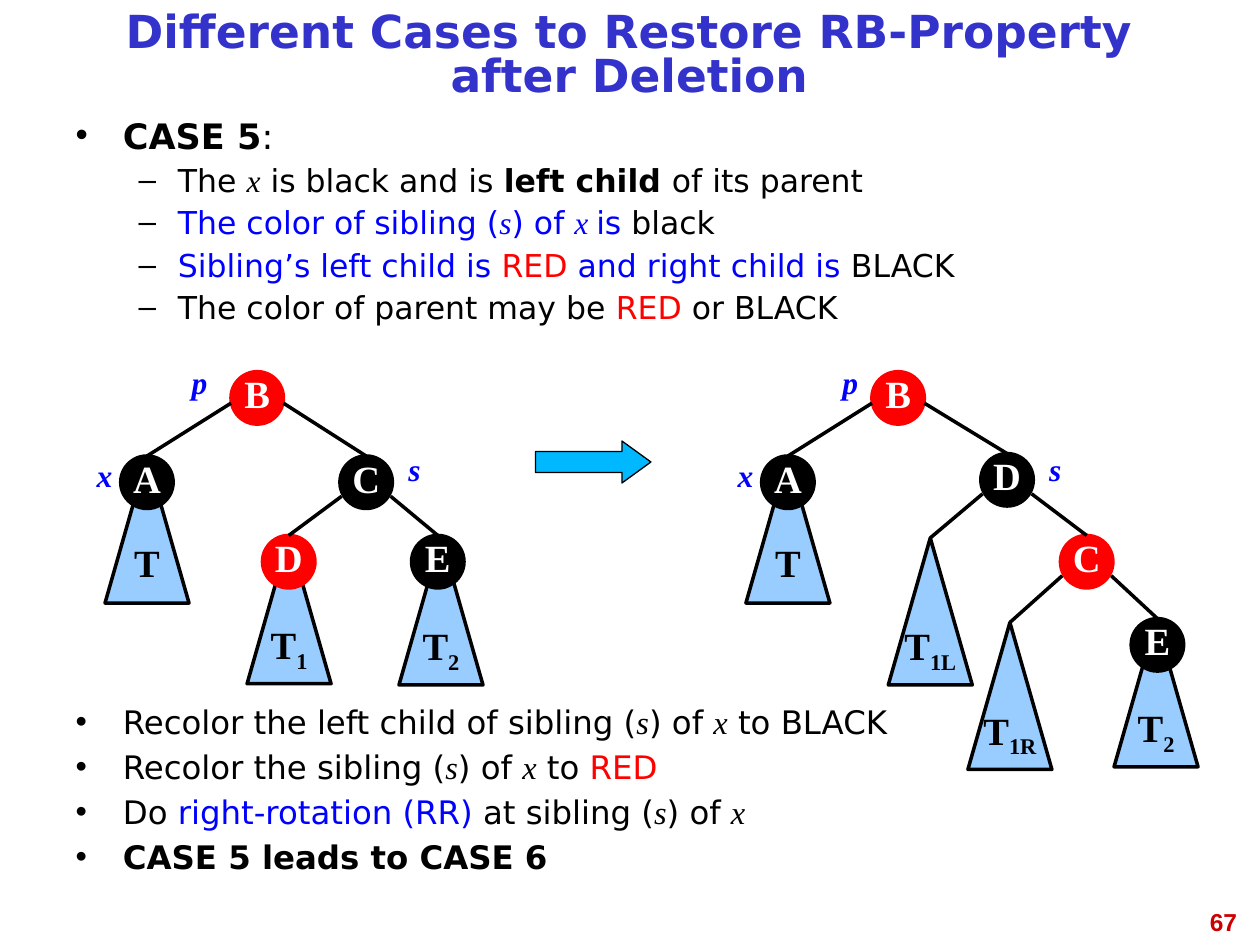
import dataclasses
import lxml.etree
import pptx
import pptx.dml.color
import pptx.enum.shapes
import pptx.enum.text
import pptx.oxml.ns
import pptx.util

Pt = pptx.util.Pt
SHAPE = pptx.enum.shapes.MSO_SHAPE
ALIGN = pptx.enum.text.PP_ALIGN
ANCHOR = pptx.enum.text.MSO_ANCHOR
qn = pptx.oxml.ns.qn


@dataclasses.dataclass(frozen=True)
class Theme:
    sans: str = "DejaVu Sans"
    serif: str = "Times New Roman"
    footer_font: str = "Arial"
    title: str = "3333CC"
    black: str = "000000"
    white: str = "FFFFFF"
    red: str = "FF0000"
    blue: str = "0000FF"
    subtree: str = "99CCFF"
    arrow: str = "00B8FF"
    number: str = "CC0000"
    title_size: float = 26
    case_size: float = 20
    detail_size: float = 18
    step_size: float = 18.5
    node_size: float = 22
    label_size: float = 18
    number_size: float = 14
    tight: float = 0.8
    edge: float = 2
    node: float = 30
    subtree_width: float = 48
    subtree_height: float = 84


class SlideBuilder:
    def __init__(self, prs, theme):
        self.t = theme
        self.s = prs.slides.add_slide(prs.slide_layouts[3])

    def rgb(self, color):
        return pptx.dml.color.RGBColor.from_string(color)

    def font(self, r, name, size, color, bold=False, italic=False):
        f = r.font
        f.name, f.size, f.bold, f.italic = name, Pt(size), bold, italic
        f.color.rgb = self.rgb(color)

    def place(self, sp, left, top, width, height):
        sp.left, sp.top, sp.width, sp.height = map(Pt, (left, top, width, height))
        sp.text_frame.auto_size = pptx.enum.text.MSO_AUTO_SIZE.NONE

    def title(self, text, box):
        sp = self.s.shapes.title
        self.place(sp, *box)
        sp.text_frame.text = text
        sp.text_frame.vertical_anchor = ANCHOR.MIDDLE
        p = sp.text_frame.paragraphs[0]
        p.alignment, p.line_spacing = ALIGN.CENTER, self.t.tight
        self.font(p.runs[0], self.t.sans, self.t.title_size, self.t.title, True)

    def bullet(self, p, char, margin, indent):
        pPr = p._p.get_or_add_pPr()
        pPr.set("marL", str(Pt(margin)))
        pPr.set("indent", str(Pt(-indent)))
        color = lxml.etree.SubElement(pPr, qn("a:buClr"))
        lxml.etree.SubElement(color, qn("a:srgbClr"), val=self.t.black)
        lxml.etree.SubElement(pPr, qn("a:buFont"), typeface=self.t.footer_font)
        lxml.etree.SubElement(pPr, qn("a:buChar"), char=char)

    def bullets(self, index, box, items):
        sp = self.s.placeholders[index]
        self.place(sp, *box)
        tf = sp.text_frame
        tf.vertical_anchor = ANCHOR.TOP
        for i, (level, size, runs) in enumerate(items):
            p = tf.add_paragraph() if i else tf.paragraphs[0]
            p.level = level
            self.bullet(p, *(("–", 58.5, 22.5) if level else ("•", 27, 27)))
            p.alignment, p.line_spacing = ALIGN.JUSTIFY, self.t.tight
            p.space_before = Pt((7 if level else 8) if i else 0)
            for text, style in runs:
                r = p.add_run()
                r.text = text
                marks = style.split()
                italic = "italic" in marks
                color = next((c for c in ("red", "blue") if c in marks), "black")
                self.font(r, self.t.serif if italic else self.t.sans, size,
                          getattr(self.t, color), "bold" in marks, italic)

    def label(self, text, box, name, size, color, italic=False, align=ALIGN.CENTER):
        sp = self.s.shapes.add_textbox(*map(Pt, box))
        tf = sp.text_frame
        tf.word_wrap = True
        tf.text = text
        p = tf.paragraphs[0]
        p.alignment = align
        self.font(p.runs[0], name, size, color, True, italic)

    def marker(self, text, left, top, width):
        self.label(text, (left, top, width, 28.8), self.t.serif,
                   self.t.label_size, self.t.blue, True)

    def shape(self, kind, box, fill, line, weight):
        sp = self.s.shapes.add_shape(kind, *map(Pt, box))
        sp.shadow.inherit = False
        sp.fill.solid()
        sp.fill.fore_color.rgb = self.rgb(fill)
        sp.line.color.rgb = self.rgb(line)
        sp.line.width = Pt(weight)
        return sp

    def caption(self, sp, text, color, sub=""):
        tf = sp.text_frame
        tf.word_wrap = False
        tf.vertical_anchor = ANCHOR.MIDDLE
        tf.text = text
        p = tf.paragraphs[0]
        p.alignment, p.line_spacing = ALIGN.CENTER, self.t.tight
        if sub:
            p.add_run().text = sub
            p.runs[1]._r.get_or_add_rPr().set("baseline", "-25000")
        for r in p.runs:
            self.font(r, self.t.serif, self.t.node_size, color, True)

    def node(self, name, x, top, color):
        d = self.t.node
        sp = self.shape(SHAPE.OVAL, (x - d / 2, top, d, d), color, color, self.t.edge)
        self.caption(sp, name, self.t.white)
        return sp

    def subtree(self, x, top, sub=""):
        w, h = self.t.subtree_width, self.t.subtree_height
        sp = self.shape(SHAPE.ISOSCELES_TRIANGLE, (x - w / 2, top, w, h),
                        self.t.subtree, self.t.black, self.t.edge)
        self.caption(sp, "T", self.t.black, sub)
        return sp

    def edges(self, parent, left, right, dx=14, dy=23):
        middle = parent.left + parent.width // 2
        for child, side in ((left, -1), (right, 1)):
            c = self.s.shapes.add_connector(
                pptx.enum.shapes.MSO_CONNECTOR.STRAIGHT, child.left, child.top,
                middle + side * Pt(dx), parent.top + Pt(dy))
            c.begin_connect(child, 0)
            c.line.color.rgb = self.rgb(self.t.black)
            c.line.width = Pt(self.t.edge)
            lxml.etree.SubElement(c._element.spPr, qn("a:effectLst"))

    def crown(self, x, sibling, sibling_top, p_left):
        t = self.t
        root = self.node("B", x + 147, 212.4, t.red)
        self.subtree(x + 84, 260.6)
        a = self.node("A", x + 84, 260.6, t.black)
        s = self.node(sibling, x + 209.25, sibling_top, t.black)
        self.edges(root, a, s, 15, 18)
        self.marker("p", p_left, 203.8, 60)
        self.marker("x", x + 41.8, 257, 36)
        self.marker("s", x + 215.8, 253.4, 42)
        return s

    def arrow(self, box):
        sp = self.shape(SHAPE.RIGHT_ARROW, box, self.t.arrow, self.t.black, 0.75)
        sp.adjustments[1] = 0.69


def main():
    prs = pptx.Presentation()
    prs.slide_width, prs.slide_height = Pt(720), Pt(540)
    t = Theme()
    b = SlideBuilder(prs, t)
    b.label("67", (546, 514.8, 168, 37.4), t.footer_font, t.number_size, t.number,
            align=ALIGN.RIGHT)
    b.title("Different Cases to Restore RB-Property after Deletion", (36, 5.8, 647.5, 54))
    details = [
        [("The ", ""), ("x", "italic"), (" is black and is ", ""),
         ("left child ", "bold"), ("of its parent", "")],
        [("The color of sibling (", "blue"), ("s", "blue italic"), (") of ", "blue"),
         ("x ", "blue italic"), ("is ", "blue"), ("black", "")],
        [("Sibling’s left child is ", "blue"), ("RED", "red"),
         (" and right child is ", "blue"), ("BLACK", "")],
        [("The color of parent may be ", ""), ("RED", "red"), (" or BLACK", "")],
    ]
    b.bullets(1, (36, 66.2, 647.5, 138.2),
              [(0, t.case_size, [("CASE 5", "bold"), (":", "")])]
              + [(1, t.detail_size, runs) for runs in details])
    sibling_of_x = [("s", "italic"), (") of ", ""), ("x", "italic")]
    steps = [
        [("Recolor the left child of sibling (", ""), *sibling_of_x, (" to BLACK", "")],
        [("Recolor the sibling (", ""), *sibling_of_x, (" to ", ""), ("RED", "red")],
        [("Do ", ""), ("right-rotation (RR)", "blue"), (" at sibling (", ""), *sibling_of_x],
        [("CASE 5 leads to CASE 6", "bold")],
    ]
    b.bullets(2, (36, 401.8, 647.5, 120), [(0, t.step_size, runs) for runs in steps])

    c = b.crown(0, "C", 260.6, 84)
    b.subtree(165.2, 306.7, "1")
    b.subtree(252, 307.4, "2")
    d = b.node("D", 165, 306, t.red)
    e = b.node("E", 250.2, 306, t.black)
    b.edges(c, d, e)

    b.arrow((306, 252, 66, 24))

    d = b.crown(366.25, "D", 259.2, 455.8)
    c = b.node("C", 621, 306, t.red)
    t1l = b.subtree(531.6, 307.4, "1L")
    b.edges(d, t1l, c)
    b.subtree(660.6, 354.2, "2")
    e = b.node("E", 661.4, 353.5, t.black)
    t1r = b.subtree(577.1, 355.7, "1R")
    b.edges(c, t1r, e)
    prs.save("out.pptx")


if __name__ == "__main__":
    main()
